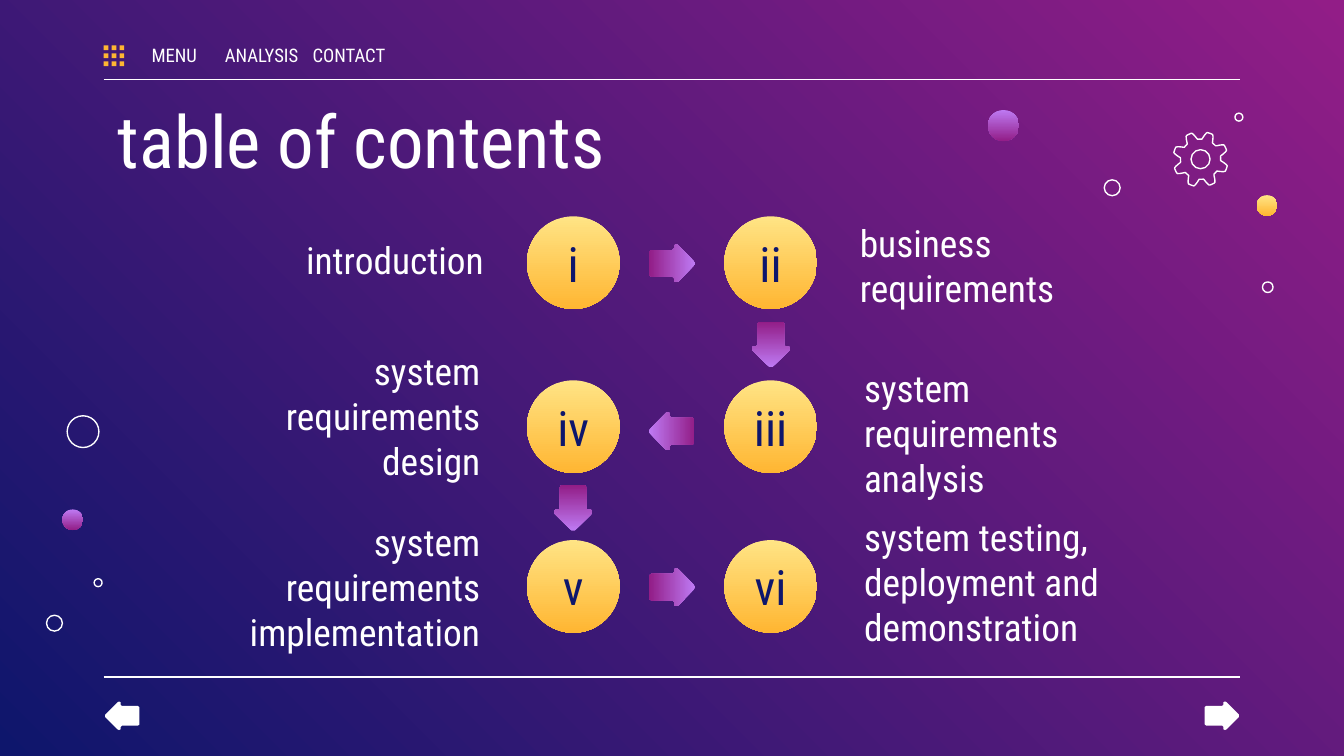
import math

import lxml.etree
import pptx
import pptx.dml.color
import pptx.enum.shapes
import pptx.enum.text
import pptx.oxml.ns
import pptx.util

Cm = pptx.util.Cm
Kind = pptx.enum.shapes.MSO_SHAPE
Align = pptx.enum.text.PP_ALIGN
Anchor = pptx.enum.text.MSO_ANCHOR

FONT = "Roboto Condensed"
WHITE = "FFFFFF"
NAVY = "0E166C"
AMBER = "FFB632"
GOLD = ("FFE485", AMBER)
LILAC = ("BE7AF3", "921D87")
NIGHT = ("921D87", NAVY)
SIDE = 1.75
COLS = (9.96, 13.69)
ROWS = (4.09, 7.19, 10.21)
HALF = [(0.03, 0), (0.34, 0.31), (0.36, 0.35), (0.34, 0.39), (0.28, 0.39),
        (0.25, 0.42), (0.25, 0.82), (0.22, 0.86)]


def tint(code):
    return pptx.dml.color.RGBColor.from_string(code)


def assign(item, values):
    for name, value in values.items():
        setattr(item, name, value)


def blend(fill, pair, angle):
    fill.gradient()
    fill.gradient_angle = angle
    for stop, code in zip(fill.gradient_stops, pair):
        stop.color.rgb = tint(code)


def paint(shape, fill=None, edge=None):
    shape.shadow.inherit = False
    if fill is None:
        shape.fill.background()
    elif isinstance(fill, tuple):
        blend(shape.fill, fill, 270)
    else:
        shape.fill.solid()
        shape.fill.fore_color.rgb = tint(fill)
    if edge:
        shape.line.color.rgb = tint(edge)
        shape.line.width = pptx.util.Pt(0.75)
    else:
        shape.line.fill.background()


def write(shape, text, size, code=WHITE, align=Align.LEFT, anchor=Anchor.MIDDLE, pad=0.25):
    frame = shape.text_frame
    frame.text = text
    assign(frame, {
        "word_wrap": True,
        "auto_size": pptx.enum.text.MSO_AUTO_SIZE.NONE,
        "vertical_anchor": anchor,
        "margin_left": Cm(pad),
        "margin_right": Cm(pad),
        "margin_top": Cm(0.25),
        "margin_bottom": Cm(0.25),
    })
    line = frame.paragraphs[0]
    line.alignment = align
    font = line.runs[0].font
    assign(font, {"name": FONT, "size": pptx.util.Pt(size)})
    font.color.rgb = tint(code)


def label(slide, text, box, size, **style):
    write(slide.shapes.add_textbox(*map(Cm, box)), text, size, **style)


def head(slide, text):
    title = slide.shapes.title
    assign(title, {"left": Cm(1.98), "top": Cm(1.55), "width": Cm(21.44), "height": Cm(1.68)})
    write(title, text, 39, anchor=Anchor.TOP)


def rule(slide, y):
    line = slide.shapes.add_connector(
        pptx.enum.shapes.MSO_CONNECTOR.STRAIGHT, Cm(1.96), Cm(y), Cm(23.44), Cm(y))
    line.line.color.rgb = tint(WHITE)
    line.line.width = pptx.util.Pt(0.75)
    lxml.etree.SubElement(line._element.spPr, pptx.oxml.ns.qn("a:effectLst"))


def disc(slide, x, y, side, fill=None, edge=None):
    shape = slide.shapes.add_shape(Kind.OVAL, Cm(x), Cm(y), Cm(side), Cm(side))
    paint(shape, fill, edge)
    return shape


def trace(slide, points, fill=None, edge=None):
    spots = [(Cm(x), Cm(y)) for x, y in points]
    path = slide.shapes.build_freeform(*spots[0])
    path.add_line_segments(spots[1:], close=True)
    shape = path.convert_to_shape()
    paint(shape, fill, edge)
    return shape


def arrow(slide, x, y, turn, fill=LILAC, scale=1):
    full = HALF + [(-dx, dy) for dx, dy in reversed(HALF)]
    points = [(x + dx * scale, y + (dy - 0.43) * scale) for dx, dy in full]
    trace(slide, points, fill).rotation = turn


def gear(slide, x, y):
    points = []
    for step in range(180):
        turn = math.radians(2 * step)
        wave = 1.6 * math.cos(8 * (turn - math.radians(20)))
        reach = 0.45 + 0.07 * max(-1, min(1, wave))
        points.append((x + reach * math.cos(turn), y + reach * math.sin(turn)))
    trace(slide, points, edge=WHITE)
    disc(slide, x - 0.18, y - 0.18, 0.36, edge=WHITE)


def menu(slide):
    for i, text in enumerate(("MENU", "ANALYSIS", "CONTACT")):
        label(slide, text, (2.57 + 1.65 * i, 0.76, 1.45, 0.58), 10,
              align=Align.CENTER, pad=0)
    group = slide.shapes.add_group_shape()
    for i in range(9):
        dot = group.shapes.add_shape(
            Kind.RECTANGLE, Cm(1.96 + 0.15 * (i // 3)), Cm(0.86 + 0.15 * (i % 3)),
            Cm(0.09), Cm(0.09))
        paint(dot, AMBER)


def main():
    deck = pptx.Presentation()
    assign(deck, {"slide_width": Cm(25.4), "slide_height": Cm(14.29)})
    slide = deck.slides.add_slide(deck.slide_layouts[5])
    blend(slide.background.fill, NIGHT, 225)
    for y in (1.5, 12.8):
        rule(slide, y)
    head(slide, "table of contents")
    gear(slide, 22.69, 3.01)

    for x, y, side in ((20.87, 3.4, 0.3), (1.78, 10.94, 0.15), (0.88, 11.63, 0.3),
                       (1.27, 7.86, 0.6), (23.86, 5.33, 0.2), (23.34, 2.14, 0.15)):
        disc(slide, x, y, side, edge=WHITE)
    for x, y, side, fill in ((1.18, 9.63, 0.39, LILAC), (18.67, 2.08, 0.59, LILAC),
                             (23.75, 3.69, 0.39, GOLD)):
        disc(slide, x, y, side, fill)

    for y, pair in zip(ROWS, (("i", "ii"), ("iv", "iii"), ("v", "vi"))):
        for x, text in zip(COLS, pair):
            write(disc(slide, x, y, SIDE, GOLD), text, 26, NAVY, Align.CENTER)

    for x, y, high, text, align in (
            (3.63, 4.37, 1.09, "introduction", Align.RIGHT),
            (3.56, 6.59, 2.54, "system requirements design", Align.RIGHT),
            (3.56, 10.54, 1.09, "system requirements implementation", Align.RIGHT),
            (16, 3.56, 2.9, "business requirements", Align.LEFT),
            (16.08, 6.3, 3.76, "system requirements analysis", Align.LEFT),
            (16.08, 10.03, 1.93, "system testing, deployment and demonstration", Align.LEFT)):
        label(slide, text, (x, y, 5.77, high), 20, align=align)

    for x, y, turn in ((12.7, 4.98, 90), (14.57, 6.51, 180), (12.7, 8.15, 270),
                       (10.83, 9.6, 180), (12.7, 11.1, 90)):
        arrow(slide, x, y, turn)
    for x, turn in ((2.31, 270), (23.09, 90)):
        arrow(slide, x, 13.53, turn, WHITE, 0.75)
    menu(slide)
    deck.save("out.pptx")


if __name__ == "__main__":
    main()
